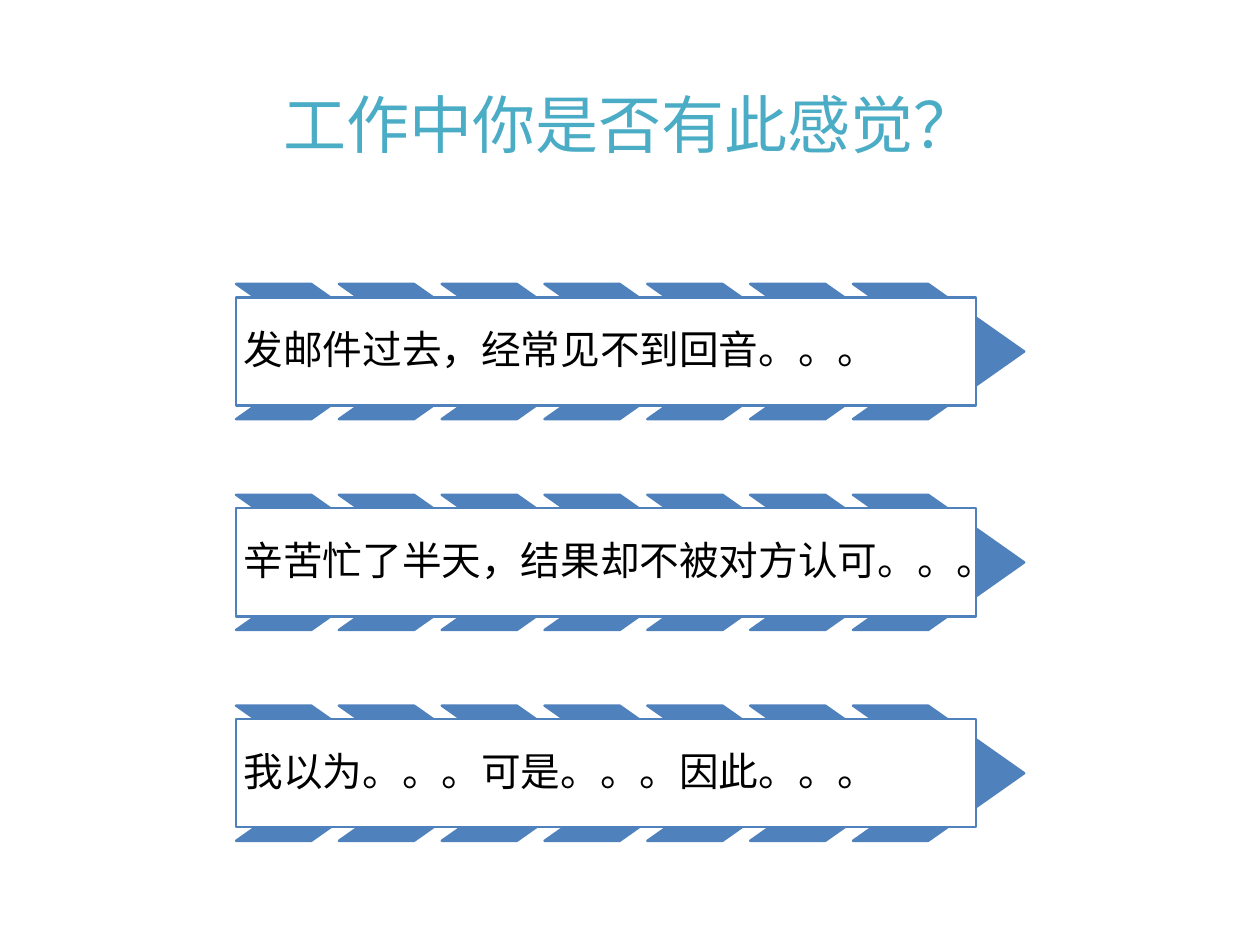
from pptx import Presentation
from pptx.dml.color import RGBColor
from pptx.enum.shapes import MSO_SHAPE
from pptx.enum.text import MSO_ANCHOR, MSO_AUTO_SIZE, PP_ALIGN
from pptx.util import Inches, Pt

CHEVRON, RECTANGLE = MSO_SHAPE.CHEVRON, MSO_SHAPE.RECTANGLE
LEFT, CENTER = PP_ALIGN.LEFT, PP_ALIGN.CENTER
MIDDLE = MSO_ANCHOR.MIDDLE
GROW = MSO_AUTO_SIZE.SHAPE_TO_FIT_TEXT

COLORS = {"blue": "4F81BD", "teal": "4BACC6", "white": "FFFFFF", "black": "000000"}
FONT = "Calibri"
TITLE = "工作中你是否有此感觉？"
FEELINGS = [
    "发邮件过去，经常见不到回音。。。",
    "辛苦忙了半天，结果却不被对方认可。。。",
    "我以为。。。可是。。。因此。。。",
]

GRID_LEFT, GRID_TOP, ROW_PITCH = 2.81, 3.38, 2.51
CHEVRON_COUNT, CHEVRON_WIDTH, CHEVRON_HEIGHT = 7, 2.04, 1.61
COLUMN_PITCH = 0.6 * CHEVRON_WIDTH
PANEL_WIDTH, PANEL_HEIGHT = 8.81, 0.8 * CHEVRON_HEIGHT


def color(name):
    return RGBColor.from_string(COLORS[name])


def write(frame, text, size, ink, align=LEFT, spacing=1.0):
    para = frame.paragraphs[0]
    para.alignment = align
    para.line_spacing = spacing
    para._p.get_or_add_pPr().set("hangingPunct", "1")
    span = para.add_run()
    span.text = text
    span.font.name = FONT
    span.font.size = Pt(size)
    span.font.color.rgb = color(ink)


class SlideBuilder:
    def __init__(self, deck):
        self.page = deck.slides.add_slide(deck.slide_layouts[5])

    def title(self, text):
        box = self.page.shapes.title
        box.left, box.top = Inches(3.23), Inches(0.96)
        box.width, box.height = Inches(8.53), Inches(1.01)
        frame = box.text_frame
        frame.word_wrap = False
        frame.auto_size = GROW
        frame.vertical_anchor = MIDDLE
        write(frame, text, 54, "teal", align=CENTER)

    def block(self, group, kind, left, top, width, height, fill):
        shape = group.shapes.add_shape(
            kind, Inches(left), Inches(top), Inches(width), Inches(height)
        )
        shape.shadow.inherit = False
        shape.fill.solid()
        shape.fill.fore_color.rgb = color(fill)
        shape.line.color.rgb = color("blue")
        shape.line.width = Pt(2)
        return shape

    def arrow_panel(self, row, text):
        group = self.page.shapes.add_group_shape()
        top = GRID_TOP + row * ROW_PITCH
        for column in range(CHEVRON_COUNT):
            left = GRID_LEFT + column * COLUMN_PITCH
            chevron = self.block(
                group, CHEVRON, left, top, CHEVRON_WIDTH, CHEVRON_HEIGHT, "blue"
            )
            chevron.adjustments[0] = 0.71
        panel_top = top + (CHEVRON_HEIGHT - PANEL_HEIGHT) / 2
        panel = self.block(
            group, RECTANGLE, GRID_LEFT, panel_top, PANEL_WIDTH, PANEL_HEIGHT, "white"
        )
        frame = panel.text_frame
        frame.word_wrap = True
        frame.vertical_anchor = MIDDLE
        frame.margin_left = frame.margin_right = Inches(0.09)
        frame.margin_top = frame.margin_bottom = Inches(0.09)
        write(frame, text, 34, "black", spacing=0.9)


def main():
    deck = Presentation()
    deck.slide_width, deck.slide_height = Inches(15), Inches(11.25)
    builder = SlideBuilder(deck)
    for row, feeling in enumerate(FEELINGS):
        builder.arrow_panel(row, feeling)
    builder.title(TITLE)
    deck.save("out.pptx")


if __name__ == "__main__":
    main()
